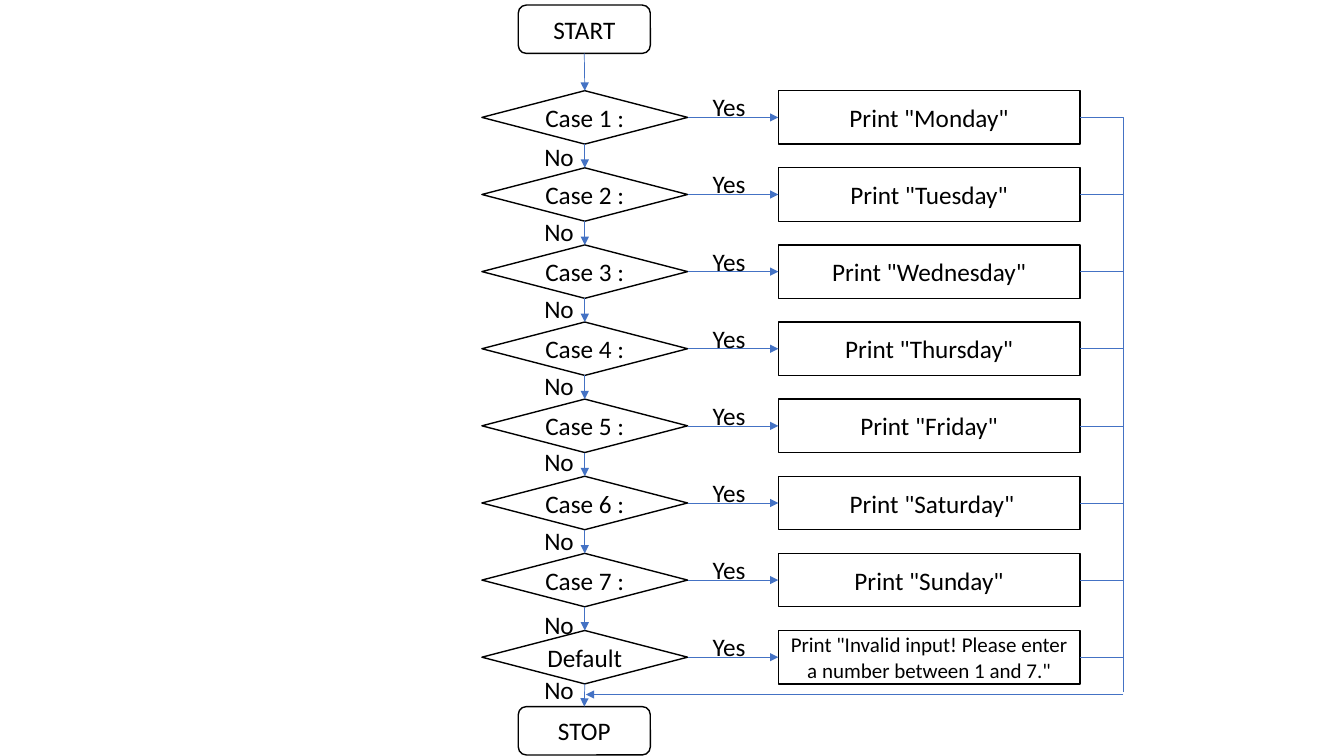
import pptx
import pptx.util
import pptx.dml.color
import pptx.oxml
import pptx.oxml.ns
import pptx.enum.shapes
import pptx.enum.text

Inches = pptx.util.Inches
Pt = pptx.util.Pt
SHAPE = pptx.enum.shapes.MSO_SHAPE
CONNECTOR = pptx.enum.shapes.MSO_CONNECTOR
qn = pptx.oxml.ns.qn
color = pptx.dml.color.RGBColor.from_string

prs = pptx.Presentation()
prs.slide_width, prs.slide_height = Inches(13.33), Inches(7.5)
s = prs.slides.add_slide(prs.slide_layouts[6])


def add_text(text, left, top, width, height, preset=None, size=18):
    """Add a flowchart node, or a plain label when no preset is given."""
    at = [Inches(v) for v in (left, top, width, height)]
    if preset is None:
        sp = s.shapes.add_textbox(*at)
        sp.text_frame.auto_size = pptx.enum.text.MSO_AUTO_SIZE.SHAPE_TO_FIT_TEXT
    else:
        sp = s.shapes.add_shape(preset, *at)
        sp.shadow.inherit = False
        sp.fill.solid()
        sp.fill.fore_color.rgb = color("FFFFFF")
        sp.line.color.rgb = color("000000")
        sp.line.width = Pt(1)
    tf = sp.text_frame
    tf.word_wrap = preset is not None
    tf.text = text
    p = tf.paragraphs[0]
    if preset is not None:
        tf.vertical_anchor = pptx.enum.text.MSO_ANCHOR.MIDDLE
        p.alignment = pptx.enum.text.PP_ALIGN.CENTER
    font = p.runs[0].font
    font.name, font.size = "Calibri", Pt(size)
    font.color.rgb = color("000000")
    return sp


def add_line(x1, y1, x2, y2, start=None, end=None, arrow=True, kind=CONNECTOR.STRAIGHT):
    """Add a connector; start and end are (shape, side) pairs to join."""
    c = s.shapes.add_connector(kind, *[Inches(v) for v in (x1, y1, x2, y2)])
    c.line.color.rgb = color("4472C4")
    c.line.width = Pt(0.5)
    if arrow:
        tail = pptx.oxml.parse_xml(
            '<a:tailEnd xmlns:a="http://schemas.openxmlformats.org/drawingml/2006/main"'
            ' type="triangle"/>')
        c.line._get_or_add_ln().append(tail)
    c._element.spPr.append(pptx.oxml.xmlchemy.OxmlElement("a:effectLst"))
    if start:
        c.begin_connect(*start)
    if end:
        c.end_connect(*end)
    return c


# Layout
TOP, PITCH, HEIGHT = 0.9, 0.765, 0.53
CASE_LEFT, CASE_WIDTH = 4.78, 2.04
PRINT_LEFT, PRINT_WIDTH = 7.72, 2.99
CENTER, BUS = 5.81, 11.14
CASE_RIGHT = CASE_LEFT + CASE_WIDTH
PRINT_RIGHT = PRINT_LEFT + PRINT_WIDTH
RETURN_Y = 6.89

# Branches: decision, output, text size of output, top of "No"
branches = [
    ("Case 1 :", 'Print "Monday"', 18, 1.35),
    ("Case 2 :", 'Print "Tuesday"', 18, 2.1),
    ("Case 3 :", 'Print "Wednesday"', 18, 2.86),
    ("Case 4 :", 'Print "Thursday"', 18, 3.62),
    ("Case 5 :", 'Print "Friday"', 18, 4.38),
    ("Case 6 :", ' Print "Saturday"', 18, 5.16),
    ("Case 7 :", 'Print "Sunday"', 18, 6.0),
    ("Default", 'Print "Invalid input! Please enter a number between 1 and 7."', 15, 6.64),
]

# Terminals
start = add_text("START", 5.14, 0.05, 1.31, 0.48, SHAPE.FLOWCHART_ALTERNATE_PROCESS)
stop = add_text("STOP", 5.14, 7.01, 1.31, 0.48, SHAPE.FLOWCHART_ALTERNATE_PROCESS)

# One row per branch, each linked to the node above
previous, previous_bottom = start, 0.53
for i, (case, output, size, no_top) in enumerate(branches):
    top = TOP + i * PITCH
    middle = top + HEIGHT / 2
    decision = add_text(case, CASE_LEFT, top, CASE_WIDTH, HEIGHT, SHAPE.FLOWCHART_DECISION)
    box = add_text(output, PRINT_LEFT, top, PRINT_WIDTH, HEIGHT, SHAPE.FLOWCHART_PROCESS, size)
    add_line(CENTER, previous_bottom, CENTER, top, (previous, 2), (decision, 0))
    add_line(CASE_RIGHT, middle, PRINT_LEFT, middle, (decision, 3), (box, 1))
    if i == 0:
        # The first output turns down into the shared return line
        bus = add_line(PRINT_RIGHT, middle, BUS, 6.87, (box, 3), arrow=False,
                       kind=CONNECTOR.ELBOW)
        bus._element.spPr.find(qn("a:prstGeom")).set("prst", "bentConnector2")
    else:
        add_line(PRINT_RIGHT, middle, BUS, middle, (box, 3), arrow=False)
    add_text("Yes", 6.97, top - 0.04, 0.53, 0.4)
    add_text("No", 5.3, no_top, 0.5, 0.4)
    previous, previous_bottom = decision, top + HEIGHT

# Return line and exit
add_line(CENTER, previous_bottom, CENTER, 7.01, (previous, 2), (stop, 0))
add_line(BUS, RETURN_Y, CENTER, RETURN_Y)

prs.save("out.pptx")
